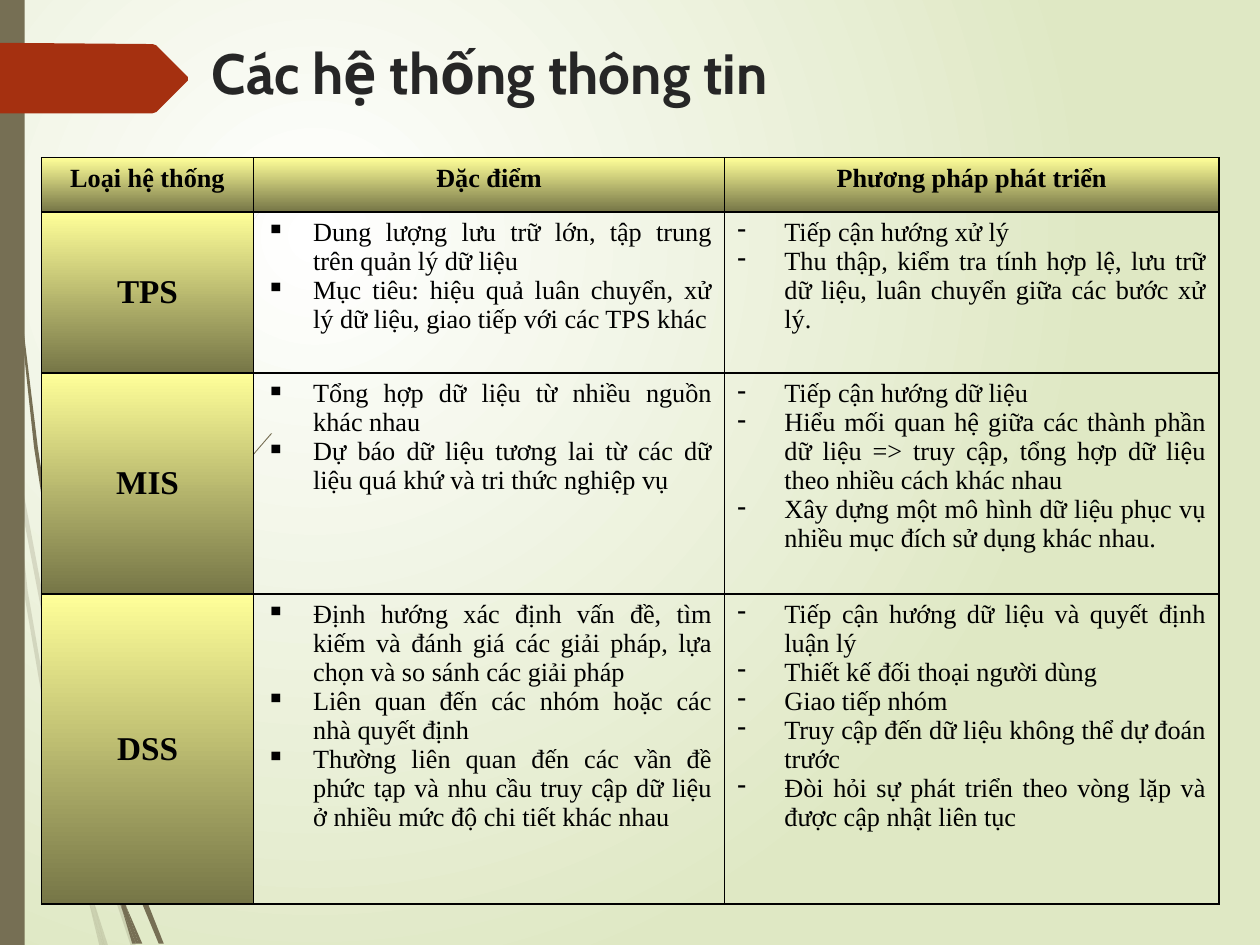
from lxml import etree
from pptx import Presentation
from pptx.dml.color import RGBColor
from pptx.enum.shapes import MSO_SHAPE
from pptx.enum.text import MSO_ANCHOR, MSO_AUTO_SIZE, PP_ALIGN
from pptx.oxml.ns import qn
from pptx.util import Cm, Pt

RECT = MSO_SHAPE.RECTANGLE
TOP, MIDDLE = MSO_ANCHOR.TOP, MSO_ANCHOR.MIDDLE
LEFT, CENTER, JUSTIFY = PP_ALIGN.LEFT, PP_ALIGN.CENTER, PP_ALIGN.JUSTIFY
NO_FIT = MSO_AUTO_SIZE.NONE

WHITE = RGBColor(0xFF, 0xFF, 0xFF)
BLACK = RGBColor(0, 0, 0)
INK = RGBColor(0x26, 0x26, 0x26)
PALE_GREEN = RGBColor(0xDF, 0xE8, 0xC4)
TAUPE = RGBColor(0x76, 0x6F, 0x54)
RUST = RGBColor(0xA5, 0x30, 0x10)
YELLOW = RGBColor(0xFF, 0xFF, 0x99)
OLIVE = RGBColor(0x76, 0x76, 0x47)

BODY_FONT, TITLE_FONT = "Times New Roman", "Cabin"
UNIT = Cm(0.0254)
INDENT = Cm(0.95)

PALE_WISPS = [
    "8,350 6,322 0,282 0,299 7,344",
    "40,522 59,599 59,586 43,520 10,345 12,376",
    "64,607 61,596 61,610 85,694 104,751 108,751 88,692",
    "83,751 86,751 73,711",
    "64,683 48,619 22,469 12,376 8,350 19,470 45,621 64,693 70,714 69,707",
    "58,599 60,646 64,683 67,692 73,711 72,706 63,646 61,610 61,608",
    "61,584 76,462 111,349 159,245 187,198 201,175 217,154 217,153 201,175 "
    "186,197 158,244 110,348 75,461 59,584 59,586 61,596",
    "70,714 79,751 82,751",
    "61,608 61,610 61,596 59,586 58,599",
    "67,692 65,683 69,707 70,714 82,751 83,751 73,711",
]
DARK_WISPS = [
    "5,110 14,233 27,355 46,477 47,481 45,457 45,453 30,355 15,232 6,109 4,48 3,0 2,0 3,48",
    "73,592 88,645 88,633 88,631 77,590 50,472 53,505",
    "94,649 91,641 91,656 109,708 126,749 130,749 113,706",
    "91,691 81,657 60,556 53,505 47,477 56,557 77,659 92,708 97,722 96,717",
    "50,472 48,453 44,349 48,245 52,193 58,141 51,193 47,245 43,349 45,449 49,472",
    "110,749 113,749 100,719",
    "47,477 53,505 50,472 49,472 45,449 45,453",
    "91,633 103,552 131,476 169,406 191,374 203,359 216,344 215,344 203,358 "
    "191,373 168,405 129,474 101,551 88,631 91,641",
    "97,722 105,749 108,749",
    "88,645 91,691 96,706 100,719 100,716 91,656 90,651",
    "88,645 90,651 91,656 91,641 88,631 88,633",
    "96,706 91,691 96,717 97,722 108,749 110,749 100,719",
]
ARROW = "149,64 124,89 121,90 0,90 0,34 121,35 124,36 149,61"

COL_WIDTHS = [4.27, 9.5, 9.96]
ROW_HEIGHTS = [1.09, 3.25, 4.45, 6.25]
HEADERS = ["Loại hệ thống", "Đặc điểm", "Phương pháp phát triển"]
SYSTEMS = [
    ("TPS",
     ["Dung lượng lưu trữ lớn, tập trung trên quản lý dữ liệu",
      "Mục tiêu: hiệu quả luân chuyển, xử lý dữ liệu, giao tiếp với các TPS khác"],
     ["Tiếp cận hướng xử lý",
      "Thu thập, kiểm tra tính hợp lệ, lưu trữ dữ liệu, luân chuyển giữa các bước xử lý."]),
    ("MIS",
     ["Tổng hợp dữ liệu từ nhiều nguồn khác nhau",
      "Dự báo dữ liệu tương lai từ các dữ liệu quá khứ và tri thức nghiệp vụ"],
     ["Tiếp cận hướng dữ liệu",
      "Hiểu mối quan hệ giữa các thành phần dữ liệu => truy cập, tổng hợp dữ liệu "
      "theo nhiều cách khác nhau",
      "Xây dựng một mô hình dữ liệu phục vụ nhiều mục đích sử dụng khác nhau."]),
    ("DSS",
     ["Định hướng xác định vấn đề, tìm kiếm và đánh giá các giải pháp, lựa chọn và "
      "so sánh các giải pháp",
      "Liên quan đến các nhóm hoặc các nhà quyết định",
      "Thường liên quan đến các vần đề phức tạp và nhu cầu truy cập dữ liệu ở nhiều "
      "mức độ chi tiết khác nhau"],
     ["Tiếp cận hướng dữ liệu và quyết định luận lý",
      "Thiết kế đối thoại người dùng",
      "Giao tiếp nhóm",
      "Truy cập đến dữ liệu không thể dự đoán trước",
      "Đòi hỏi sự phát triển theo vòng lặp và được cập nhật liên tục"]),
]


def set_text(tf, lines, font=BODY_FONT, size=15, color=BLACK, bold=False,
             align=LEFT, bullet=None):
    """Fill a text frame with one formatted paragraph per line."""
    for i, line in enumerate(lines):
        p = tf.add_paragraph() if i else tf.paragraphs[0]
        p.alignment = align
        r = p.add_run()
        r.text = line
        r.font.name, r.font.size, r.font.bold = font, Pt(size), bold
        r.font.color.rgb = color
        if bullet:
            pPr = p._p.get_or_add_pPr()
            pPr.set("marL", str(INDENT))
            pPr.set("indent", str(-INDENT))
            etree.SubElement(pPr, qn("a:buChar"), char=bullet)


def set_gradient(fill, start, end):
    """Apply a two-colour gradient running from top to bottom."""
    fill.gradient()
    fill.gradient_angle = 270
    for stop, position, color in zip(fill.gradient_stops, (0, 1), (start, end)):
        stop.position = position
        stop.color.rgb = color


def set_background(s):
    """Give the slide a circular gradient centred in its upper left part."""
    set_gradient(s.background.fill, WHITE, PALE_GREEN)
    lin = s._element.find(".//" + qn("a:lin"))
    circle = etree.Element(qn("a:path"), path="circle")
    etree.SubElement(circle, qn("a:fillToRect"), l="50000", t="50000",
                     r="100000", b="100000")
    lin.getparent().replace(lin, circle)


def paint(sp, color, alpha=None):
    """Fill a shape with a plain colour, without line or shadow."""
    sp.shadow.inherit = False
    sp.fill.solid()
    sp.fill.fore_color.rgb = color
    sp.line.fill.background()
    if alpha:
        clr = sp._element.spPr.find(".//" + qn("a:srgbClr"))
        etree.SubElement(clr, qn("a:alpha"), val=str(alpha * 1000))


def add_polygon(shapes, outline, color, alpha=None):
    """Draw a closed outline given in hundredths of an inch."""
    points = [tuple(map(int, pair.split(","))) for pair in outline.split()]
    builder = shapes.build_freeform(*points[0], scale=UNIT)
    builder.add_line_segments(points[1:], close=True)
    paint(builder.convert_to_shape(), color, alpha)


def add_decoration(s):
    """Draw the wisps, the side bar and the arrow beside the title."""
    for wisps, alpha in ((PALE_WISPS, 20), (DARK_WISPS, None)):
        group = s.shapes.add_group_shape()
        for outline in wisps:
            add_polygon(group.shapes, outline, TAUPE, alpha)
    paint(s.shapes.add_shape(RECT, 0, 0, Cm(0.5), Cm(19.05)), TAUPE)
    add_polygon(s.shapes, ARROW, RUST)


def format_title(s, text):
    """Place the title in front of the decoration and format it."""
    sp = s.shapes.title
    s.shapes._spTree.append(sp._element)
    sp.left, sp.top, sp.width, sp.height = Cm(4.01), Cm(0.64), Cm(22.86), Cm(0.48)
    tf = sp.text_frame
    tf.word_wrap, tf.auto_size, tf.vertical_anchor = True, NO_FIT, TOP
    set_text(tf, [text], font=TITLE_FONT, size=32.4, color=INK, bold=True)


def set_borders(cell):
    """Draw thin black lines on all four sides of a cell."""
    tcPr = cell._tc.get_or_add_tcPr()
    for side in ("a:lnL", "a:lnR", "a:lnT", "a:lnB"):
        ln = etree.SubElement(tcPr, qn(side), w=str(Pt(1)))
        fill = etree.SubElement(ln, qn("a:solidFill"))
        etree.SubElement(fill, qn("a:srgbClr"), val=str(BLACK))


def fill_cell(cell, lines, heading=False, anchor=TOP, **fmt):
    """Write a heading cell with a gradient or a clear body cell."""
    set_borders(cell)
    cell.vertical_anchor = anchor
    if heading:
        set_gradient(cell.fill, YELLOW, OLIVE)
        fmt.update(bold=True, align=CENTER)
    else:
        cell.fill.background()
        fmt.update(align=JUSTIFY)
    set_text(cell.text_frame, lines, **fmt)


def add_systems_table(s):
    """Add the table comparing the kinds of system."""
    table = s.shapes.add_table(len(ROW_HEIGHTS), len(COL_WIDTHS), Cm(0.84), Cm(3.18),
                               Cm(sum(COL_WIDTHS)), Cm(sum(ROW_HEIGHTS))).table
    table.first_row = table.horz_banding = False
    for col, width in zip(table.columns, COL_WIDTHS):
        col.width = Cm(width)
    for row, height in zip(table.rows, ROW_HEIGHTS):
        row.height = Cm(height)
    for c, header in enumerate(HEADERS):
        fill_cell(table.cell(0, c), [header], heading=True)
    for r, (name, features, methods) in enumerate(SYSTEMS, 1):
        fill_cell(table.cell(r, 0), [name], heading=True, anchor=MIDDLE, size=19)
        fill_cell(table.cell(r, 1), features, bullet="▪")
        fill_cell(table.cell(r, 2), methods, bullet="-")


def main():
    """Build the slide and save it."""
    prs = Presentation()
    prs.slide_width, prs.slide_height = Cm(25.4), Cm(19.05)
    s = prs.slides.add_slide(prs.slide_layouts[5])
    set_background(s)
    add_decoration(s)
    format_title(s, "Các hệ thống thông tin")
    add_systems_table(s)
    prs.save("out.pptx")


if __name__ == "__main__":
    main()
